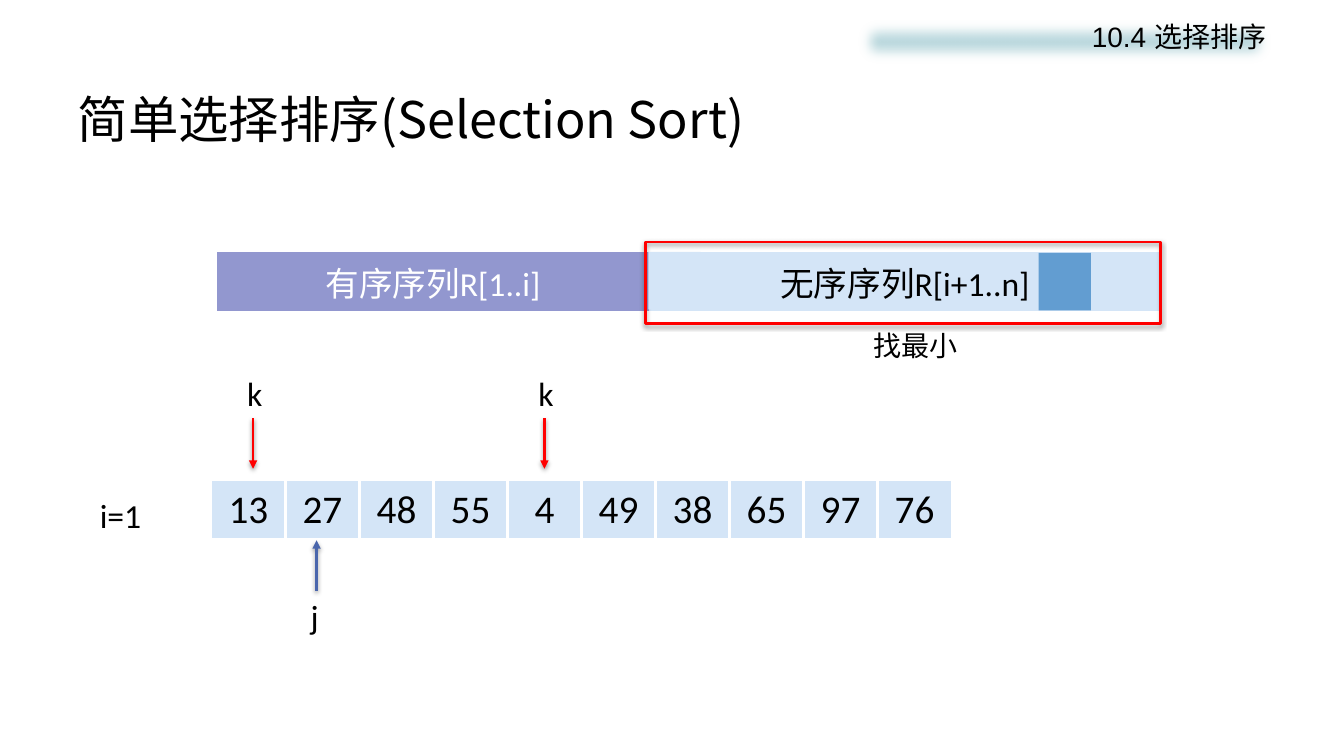
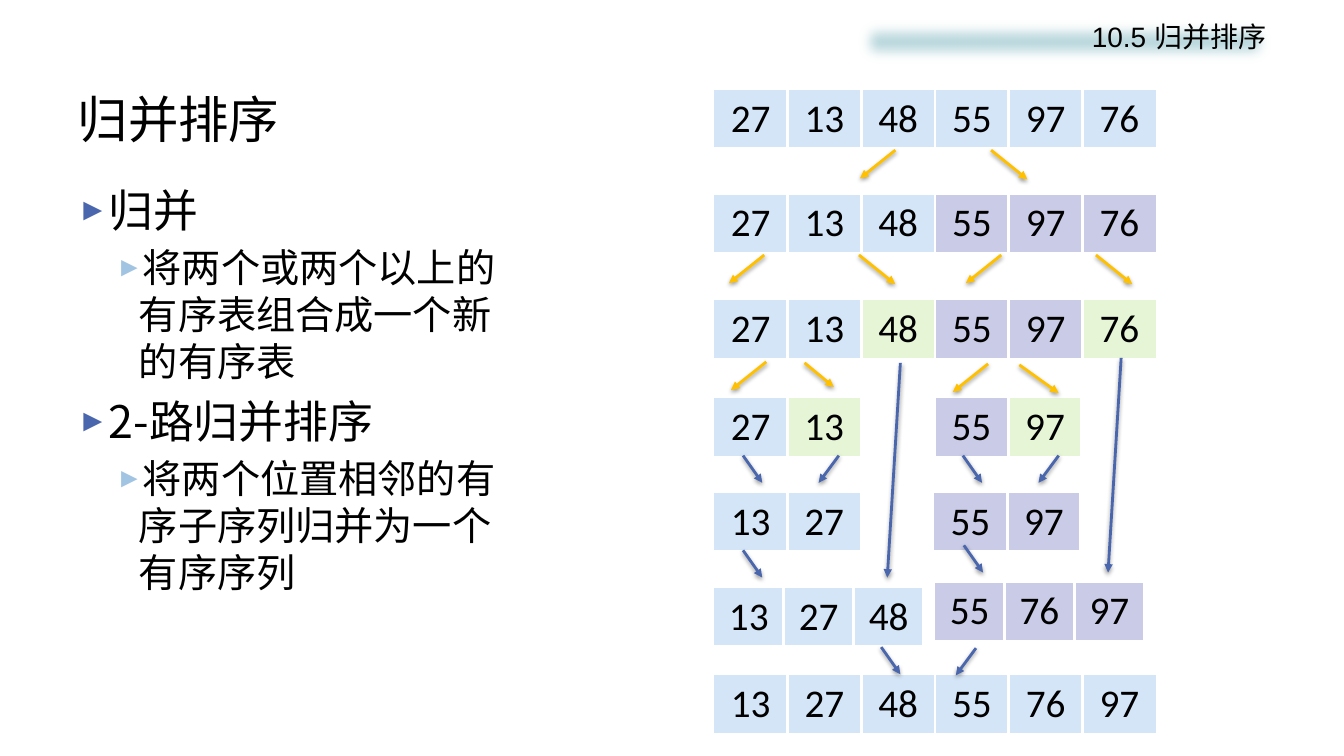
from pptx import Presentation
from pptx.dml.color import RGBColor
from pptx.enum.shapes import MSO_CONNECTOR, MSO_SHAPE
from pptx.enum.text import MSO_ANCHOR, MSO_AUTO_SIZE, PP_ALIGN
from pptx.oxml import parse_xml
from pptx.oxml.ns import nsdecls
from pptx.util import Emu, Pt

PX = 9144
RECT, STRAIGHT = MSO_SHAPE.RECTANGLE, MSO_CONNECTOR.STRAIGHT
TOP, MIDDLE = MSO_ANCHOR.TOP, MSO_ANCHOR.MIDDLE
LEFT, CENTER, RIGHT = PP_ALIGN.LEFT, PP_ALIGN.CENTER, PP_ALIGN.RIGHT
HAN = "Noto Sans CJK SC"
PLAIN = "{2D5ABB26-0587-4C30-8999-92F81FD0307C}"
COLORS = {
    "black": "000000", "white": "FFFFFF", "band": "BDDADF", "sorted": "9297CF",
    "b": "D4E5F7", "p": "C9CBE7", "g": "E7F5D7", "min": "629DD1",
    "red": "FF0000", "blue": "4A66AC", "gold": "FFC000", "pale": "A1C4E3",
}
FONTS = {
    "title": {"name": HAN, "size": Pt(36)},
    "band": {"name": "Arial", "size": Pt(20)},
    "point": {"name": HAN, "size": Pt(32)},
    "detail": {"name": HAN, "size": Pt(28)},
    "cell": {"name": "Calibri", "size": Pt(28)},
    "label": {"name": "Calibri", "size": Pt(24)},
}
LEVELS = {
    "point": {"left": 28, "hang": 28, "line": 38.4, "before": 7, "color": "blue"},
    "detail": {"left": 61, "hang": 23, "line": 33.6, "before": 5, "color": "pale"},
}
SHADOW = ('<a:outerShdw blurRad="40000" dist="20000" dir="5400000" rotWithShape="0">'
          '<a:srgbClr val="000000"><a:alpha val="38000"/></a:srgbClr></a:outerShdw>')
SOFT = '<a:softEdge rad="127000"/>'

POINTS = [
    ("point", "归并"),
    ("detail", "将两个或两个以上的有序表组合成一个新的有序表"),
    ("point", "2-路归并排序"),
    ("detail", "将两个位置相邻的有序子序列归并为一个有序序列"),
]
ROWS = [
    (0, 0, 439, "27 13 48 55 97 76", "bbbbbb", ""),
    (0, 104, 439, "27 13 48 55 97 76", "bbbppp", ""),
    (0, 209, 439, "27 13 48 55 97 76", "bbgppg", ""),
    (0, 306, 146, "27 13", "bg", "R"),
    (219, 306, 146, "55 97", "pg", "LR"),
    (0, 400, 146, "13 27", "bb", "R"),
    (218, 400, 146, "55 97", "pp", "R"),
    (0, 494, 208, "13 27 48", "bbb", "R"),
    (219, 489, 208, "55 76 97", "ppp", "R"),
    (0, 581, 439, "13 27 48 55 76 97", "bbbbbb", ""),
]
ARROWS = [
    ("gold", -35, 28, [(180, 60), (50, 164), (285, 164), (52, 270), (272, 272)]),
    ("gold", 36, 29, [(275, 60), (144, 164), (379, 164)]),
    ("gold", 29, 24, [(90, 271)]),
    ("gold", 39, 28, [(303, 273)]),
    ("blue", 19, 27, [(29, 363), (247, 363), (29, 457), (248, 452), (166, 553)]),
    ("blue", -20, 27, [(124, 363), (342, 363), (260, 554)]),
    ("blue", -13, 213, [(185, 271), (404, 266)]),
]


def emu(*vals):
    return [Emu(round(v * PX)) for v in vals]


def rgb(key):
    return RGBColor.from_string(COLORS[key])


def node(text):
    return parse_xml(f'<a:root {nsdecls("a")}>{text}</a:root>')[0]


def effect(shape, body):
    props = shape._element.spPr
    for old in props.findall("{*}effectLst"):
        props.remove(old)
    props.append(node(f"<a:effectLst>{body}</a:effectLst>"))


def write(par, text, style, color="black", align=LEFT):
    par.alignment = align
    run = par.add_run()
    run.text = text
    for key, val in FONTS[style].items():
        setattr(run.font, key, val)
    run.font.color.rgb = rgb(color)
    run._r.get_or_add_rPr().append(node(f'<a:ea typeface="{HAN}"/>'))


def block(slide, box, fill=None, line=None):
    shape = slide.shapes.add_shape(RECT, *emu(*box))
    shape.shadow.inherit = False
    if fill:
        shape.fill.solid()
        shape.fill.fore_color.rgb = rgb(fill)
    else:
        shape.fill.background()
    if line:
        shape.line.color.rgb = rgb(line)
        shape.line.width = Pt(2)
    else:
        shape.line.fill.background()
    return shape


def label(slide, box, text, style="label"):
    frame = slide.shapes.add_textbox(*emu(*box)).text_frame
    frame.word_wrap = True
    frame.margin_left = frame.margin_right = 0
    write(frame.paragraphs[0], text, style)


def arrow(slide, x, y, dx, dy, color):
    line = slide.shapes.add_connector(STRAIGHT, *emu(x, y, x + dx, y + dy))
    line.line.color.rgb = rgb(color)
    line.line.width = Pt(2)
    line.line._get_or_add_ln().append(node('<a:tailEnd type="triangle"/>'))
    effect(line, SHADOW)


def grid(slide, box, texts, fills, edges, style="cell", ink="black", anchor=MIDDLE):
    table = slide.shapes.add_table(1, len(texts), *emu(*box)).table
    table.first_row = table.horz_banding = False
    table._tbl.tblPr.find("{*}tableStyleId").text = PLAIN
    last = len(texts) - 1
    for col, (text, fill) in enumerate(zip(texts, fills)):
        table.columns[col].width = emu(box[2] / len(texts))[0]
        cell = table.cell(0, col)
        cell.vertical_anchor = anchor
        for side in ("left", "right", "top", "bottom"):
            setattr(cell, "margin_" + side, emu(5)[0])
        cell.fill.solid()
        cell.fill.fore_color.rgb = rgb(fill)
        write(cell.text_frame.paragraphs[0], text, style, ink, CENTER)
        props = cell._tc.get_or_add_tcPr()
        for side, end in (("R", last), ("L", 0)):
            if col != end or side in edges:
                props.insert(0, node(
                    f'<a:ln{side} w="28575"><a:solidFill><a:srgbClr val="{COLORS["white"]}"/>'
                    f'</a:solidFill></a:ln{side}>'))


def page(deck, title, head):
    slide = deck.slides.add_slide(deck.slide_layouts[5])
    shape = slide.shapes.title
    shape.left, shape.top, shape.width, shape.height = emu(67, 80, 1200, 75)
    frame = shape.text_frame
    frame.auto_size = MSO_AUTO_SIZE.NONE
    frame.vertical_anchor = MIDDLE
    write(frame.paragraphs[0], title, "title")
    band = block(slide, (846, 14, 420, 54), "band")
    effect(band, SOFT)
    band.text_frame.vertical_anchor = TOP
    write(band.text_frame.paragraphs[0], head, "band", align=RIGHT)
    return slide


def ranges(slide, x, y):
    grid(slide, (x, y, 429, 57), ["有序序列R[1..i]"], ["sorted"], "", "label", "white", TOP)
    grid(slide, (x + 429, y, 507, 57), ["无序序列R[i+1..n]"], ["b"], "R", "label", "black", TOP)
    block(slide, (x + 815, y + 1, 52, 57), "min")
    label(slide, (x + 651, y + 71, 100, 44), "找最小", "band")
    frame = block(slide, (x + 425, y - 10, 511, 81), line="red")
    effect(frame, SHADOW)
    block(slide, (x + 428, y, 52, 57), "b")


def array(slide, x, y):
    texts = "13 27 48 55 4 49 38 65 97 76".split()
    for spot, text in enumerate(texts):
        edges = "L" * (spot > 0) + "R" * (spot < len(texts) - 1)
        grid(slide, (x + spot * 73.4, y, 73, 57), [text], "b", edges)
    label(slide, (x - 111, y + 9, 60, 50), "i=1")
    for left in (41, 330):
        label(slide, (x + left - 6, y - 112, 31, 50), "k")
        arrow(slide, x + left, y - 62, 0, 50, "red")
    label(slide, (x + 98, y + 109, 31, 50), "j")
    arrow(slide, x + 104, y + 109, 0, -50, "blue")


def outline(slide, box):
    frame = slide.shapes.add_textbox(*emu(*box)).text_frame
    frame.word_wrap = True
    for spot, (level, text) in enumerate(POINTS):
        par = frame.add_paragraph() if spot else frame.paragraphs[0]
        look = LEVELS[level]
        props = par._p.get_or_add_pPr()
        left, hang = emu(look["left"], look["hang"])
        props.set("marL", str(left))
        props.set("indent", str(-hang))
        for part in (f'<a:buClr><a:srgbClr val="{COLORS[look["color"]]}"/></a:buClr>',
                     '<a:buSzPct val="70000"/>', '<a:buFont typeface="Arial"/>',
                     '<a:buChar char="►"/>'):
            props.append(node(part))
        par.line_spacing = Pt(look["line"])
        if spot:
            par.space_before = Pt(look["before"])
        write(par, text, level)


def merge(slide, x, y):
    for left, top, width, texts, fills, edges in ROWS:
        grid(slide, (x + left, y + top, width, 57), texts.split(), fills, edges)
    for color, dx, dy, starts in ARROWS:
        for left, top in starts:
            arrow(slide, x + left, y + top, dx, dy, color)


def main():
    deck = Presentation()
    deck.slide_width, deck.slide_height = emu(1333, 750)
    slide = page(deck, "简单选择排序(Selection Sort)", "10.4 选择排序")
    ranges(slide, 215, 250)
    array(slide, 210, 477)
    slide = page(deck, "归并排序", "10.5 归并排序")
    outline(slide, (67, 176, 457, 511))
    merge(slide, 708, 89)
    deck.save("out.pptx")


if __name__ == "__main__":
    main()
